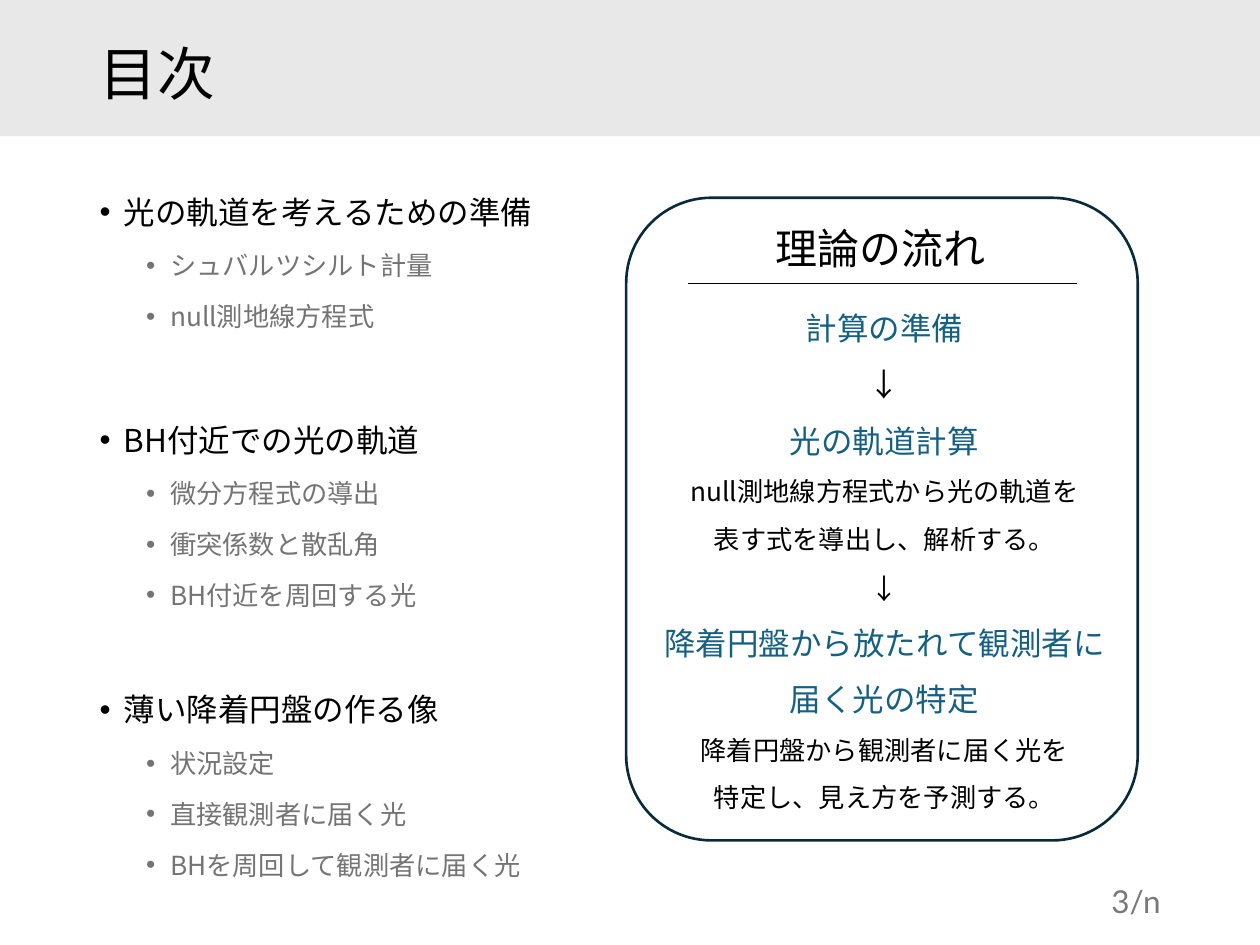
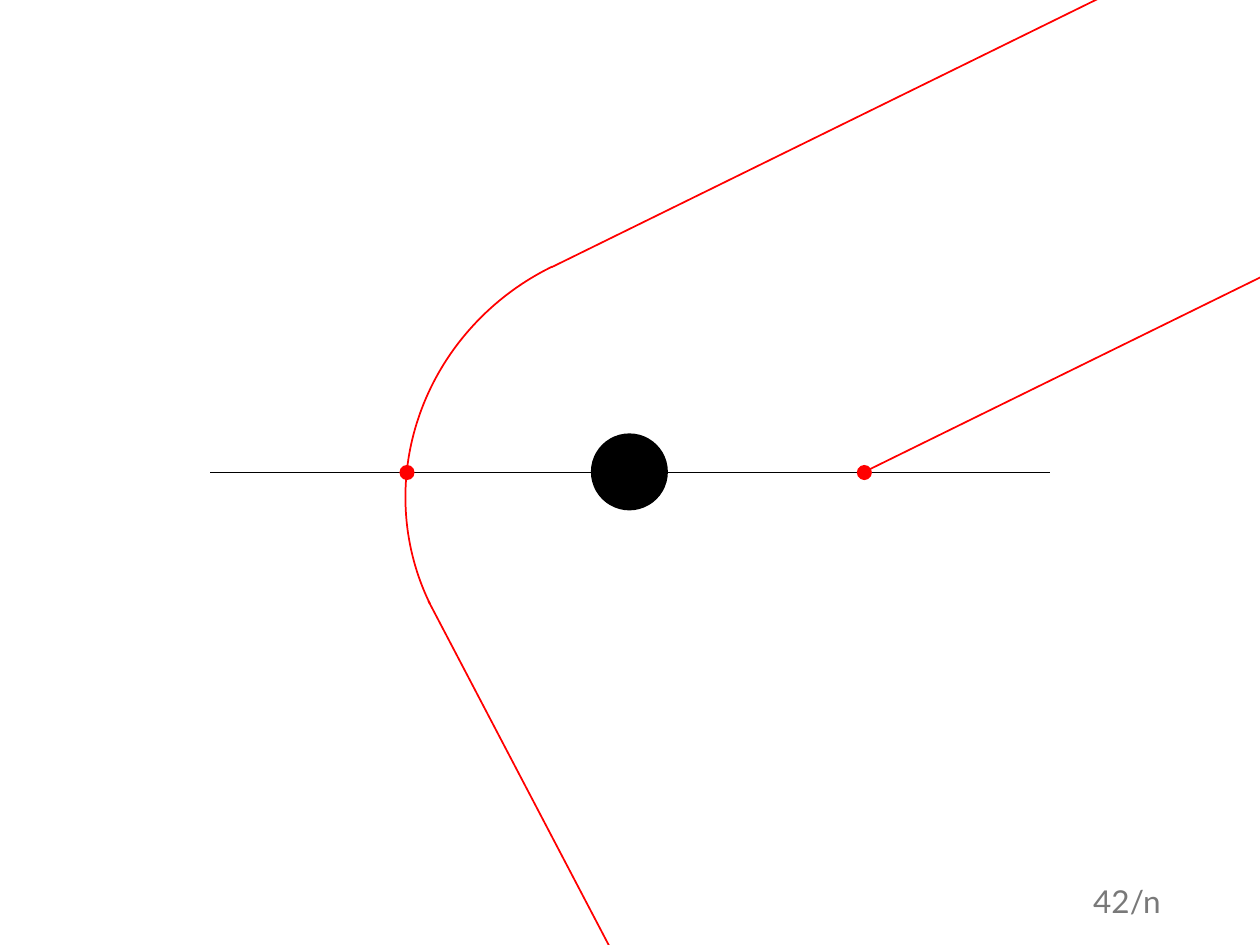
from lxml.etree import SubElement as Sub
from pptx import Presentation
from pptx.dml.color import RGBColor as RGB
from pptx.enum.shapes import MSO_CONNECTOR as Link, MSO_SHAPE as Form
from pptx.enum.text import MSO_ANCHOR as Anchor, MSO_AUTO_SIZE as Fit, PP_ALIGN as Align
from pptx.oxml.ns import qn
from pptx.util import Pt

PX = 9144  # 100 px to the inch
LEAD = 1.2  # height of a single-spaced line, in ems
BLACK, WHITE, GREY, RED = "000000", "FFFFFF", "747474", "FF0000"
BLUE, NAVY, BAND, FOOT = "156082", "092A39", "E8E8E8", "797979"
SANS, LATIN = "Noto Sans CJK JP", "Lato"


def tint(fill, color):
    """Fill a shape, line or font with a hex colour, or clear it if None."""
    if color:
        fill.solid()
        fill.fore_color.rgb = RGB.from_string(color)
    else:
        fill.background()


def say(par, text, size, color, face=SANS):
    run = par.add_run()
    run.text = text
    run.font.size = Pt(size)
    run.font.name = face
    run.font.bold = False
    tint(run.font.fill, color)
    Sub(run.font._element, qn("a:ea"), typeface=face)


deck = Presentation()
deck.slide_width, deck.slide_height = 1000 * PX, 750 * PX
toc = deck.slides.add_slide(deck.slide_layouts[1])
orbit = deck.slides.add_slide(deck.slide_layouts[6])

# Shapes: slide, form, left, top, width, height, fill, line, line width
# Lines have no form and give their two ends
parts = [
    (toc, Form.RECTANGLE, 0, 0, 1000, 108, BAND, None, 0),
    (toc, Form.ROUNDED_RECTANGLE, 497, 157, 406, 510, WHITE, NAVY, 1.5),
    (toc, None, 546, 225, 855, 225, None, BLACK, 1),
    (orbit, Form.OVAL, 470, 345, 59, 59, BLACK, BLACK, 1.5),
    (orbit, None, 167, 375, 833, 375, None, BLACK, 1),
    (orbit, Form.OVAL, 317, 369, 12, 12, RED, None, 0),
    (orbit, Form.OVAL, 680, 369, 12, 12, RED, None, 0),
    (orbit, None, 685, 375, 1198, 123, None, RED, 1),
    (orbit, Form.ARC, 327, 185, 396, 409, None, RED, 1),
    (orbit, None, 438, 212, 951, -40, None, RED, 1),
    (orbit, None, 340, 477, 568, 912, None, RED, 1),
]
for page, form, *box, fill, line, width in parts:
    box = [n * PX for n in box]
    if form is None:
        part = page.shapes.add_connector(Link.STRAIGHT, *box)
    else:
        part = page.shapes.add_shape(form, *box)
        part.shadow.inherit = False
        tint(part.fill, fill)
    tint(part.line.fill, line)
    if line:
        part.line.width = Pt(width)
    if form is None:
        Sub(part._element.spPr, qn("a:effectLst"))
    elif form == Form.RECTANGLE:
        page.shapes._spTree.insert(2, part._element)
    elif form == Form.ARC:
        part.rotation = 244
        part.adjustments[0], part.adjustments[1] = 161.98, 0

# Title and outline
title, body = toc.placeholders
for item, top, high in ((title, 7, 108), (body, 136, 574)):
    item.left, item.top = 69 * PX, top * PX
    item.width, item.height = 431 * PX, high * PX
    item.text_frame.word_wrap = True
    item.text_frame.auto_size = Fit.NONE
title.text_frame.vertical_anchor = Anchor.MIDDLE
body.text_frame.vertical_anchor = Anchor.TOP
head = title.text_frame.paragraphs[0]
head.alignment = Align.LEFT
head.line_spacing = 0.9
say(head, "目次", 33, BLACK)

# Space before, heading, points
topics = [
    (0, "光の軌道を考えるための準備", ["シュバルツシルト計量", "null測地線方程式"]),
    (42, "BH付近での光の軌道",
     ["微分方程式の導出", "衝突係数と散乱角", "BH付近を周回する光"]),
    (37, "薄い降着円盤の作る像",
     ["状況設定", "直接観測者に届く光", "BHを周回して観測者に届く光"]),
]
rows = []
for gap, topic, points in topics:
    rows.append((0, gap, topic, 18, BLACK))
    rows += [(1, 3.8, point, 15, GREY) for point in points]
frame = body.text_frame
for i, (level, gap, text, size, color) in enumerate(rows):
    par = frame.add_paragraph() if i else frame.paragraphs[0]
    par.level = level
    par.space_before = Pt(gap)
    par.line_spacing = Pt(round(size * LEAD * 1.4, 1))
    props = par._p.get_or_add_pPr()
    props.set("marL", str((56 if level else 19) * PX))
    props.set("indent", str(-19 * PX))
    Sub(props, qn("a:buFont"), typeface="Arial")
    Sub(props, qn("a:buChar"), char="•")
    say(par, text, size, color)

# Flow panel and page numbers
flow = [
    ("計算の準備", 18, BLUE),
    ("↓", 18, BLACK),
    ("光の軌道計算", 18, BLUE),
    ("null測地線方程式から光の軌道を", 15, BLACK),
    ("表す式を導出し、解析する。", 15, BLACK),
    ("↓", 16, BLACK),
    ("降着円盤から放たれて観測者に", 18, BLUE),
    ("届く光の特定", 18, BLUE),
    ("降着円盤から観測者に届く光を", 15, BLACK),
    ("特定し、見え方を予測する。", 15, BLACK),
]
foot = (706, 695, 225, 40)
notes = [
    (toc, (606, 174, 188, 50), Align.LEFT, SANS, [("理論の流れ", 24, BLACK)]),
    (toc, (515, 225, 374, 441), Align.CENTER, SANS, flow),
    (toc, foot, Align.RIGHT, LATIN, [("3/n", 18, FOOT)]),
    (orbit, foot, Align.RIGHT, LATIN, [("42/n", 18, FOOT)]),
]
for page, box, align, face, lines in notes:
    frame = page.shapes.add_textbox(*(n * PX for n in box)).text_frame
    frame.word_wrap = align != Align.LEFT
    frame.vertical_anchor = Anchor.TOP if lines is flow else Anchor.MIDDLE
    for i, (text, size, color) in enumerate(lines):
        par = frame.add_paragraph() if i else frame.paragraphs[0]
        par.alignment = align
        if lines is flow:
            par.line_spacing = Pt(round(size * LEAD * 1.5, 1))
        elif align == Align.LEFT:
            par.line_spacing = 0.9
        say(par, text, size, color, face)

deck.save("out.pptx")
